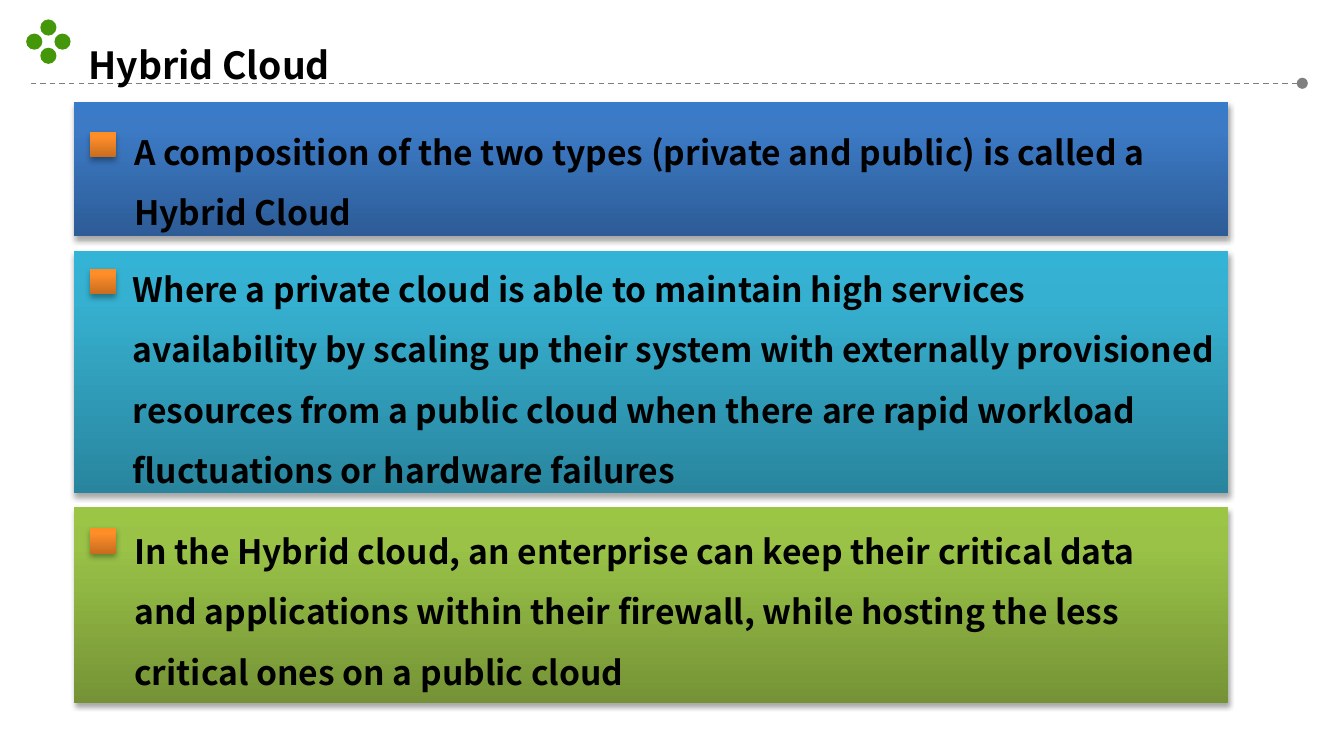
from dataclasses import dataclass

import pptx
import pptx.dml.color
import pptx.enum.dml
import pptx.enum.shapes
import pptx.enum.text
import pptx.oxml
import pptx.oxml.ns
import pptx.util
from pptx.dml.color import RGBColor
from pptx.util import Inches

BLACK = RGBColor(0x00, 0x00, 0x00)
GRAY = RGBColor(0x7F, 0x7F, 0x7F)
GREEN = RGBColor(0x43, 0x97, 0x08)
BLUE_STOPS = (RGBColor(0x2D, 0x5C, 0x97), RGBColor(0x3C, 0x7A, 0xC5), RGBColor(0x39, 0x7B, 0xC9))
TEAL_STOPS = (RGBColor(0x29, 0x85, 0x9E), RGBColor(0x36, 0xB0, 0xD0), RGBColor(0x33, 0xB3, 0xD5))
LIME_STOPS = (RGBColor(0x75, 0x93, 0x36), RGBColor(0x99, 0xC2, 0x47), RGBColor(0x9B, 0xC5, 0x45))
ORANGE_STOPS = (RGBColor(0xC8, 0x6C, 0x1F), RGBColor(0xFF, 0x8E, 0x29), RGBColor(0xFF, 0x8D, 0x25))
STOP_POSITIONS = (0, 80, 100)

NAMESPACE = pptx.oxml.ns.nsdecls("a")
FONT_NAME = "Noto Sans CJK KR"
SLIDE_WIDTH = Inches(10)
SLIDE_HEIGHT = SLIDE_WIDTH * 9 // 16
DOT_SIZE = 0.12
DOT_OFFSET = 0.105
MARKER_SIZE = 0.19


@dataclass
class Box:
    left: float
    top: float
    width: float
    height: float

    def lengths(self) -> tuple:
        return tuple(Inches(value) for value in (self.left, self.top, self.width, self.height))


@dataclass
class Panel:
    box: Box
    stops: tuple
    text_box: Box
    marker_top: float
    text: str


PANELS = (
    Panel(Box(0.55, 0.76, 8.59, 1), BLUE_STOPS, Box(0.9, 0.78, 8.17, 0.95), 0.98,
          "A composition of the two types (private and public) is called a Hybrid Cloud"),
    Panel(Box(0.55, 1.87, 8.59, 1.8), TEAL_STOPS, Box(0.89, 1.8, 8.25, 1.92), 2,
          "Where a private cloud is able to maintain high services availability by scaling up "
          "their system with externally provisioned resources from a public cloud when there "
          "are rapid workload fluctuations or hardware failures"),
    Panel(Box(0.55, 3.77, 8.59, 1.46), LIME_STOPS, Box(0.9, 3.75, 8.09, 1.41), 3.93,
          "In the Hybrid cloud, an enterprise can keep their critical data and applications "
          "within their firewall, while hosting the less critical ones on a public cloud"),
)


def apply_format(target, values: dict) -> None:
    for name, value in values.items():
        setattr(target, name, value)


def add_dot(slide, left: float, top: float) -> None:
    box = Box(left, top, DOT_SIZE, DOT_SIZE)
    shape = slide.shapes.add_shape(pptx.enum.shapes.MSO_SHAPE.OVAL, *box.lengths())
    shape.shadow.inherit = False
    shape.fill.solid()
    shape.fill.fore_color.rgb = GREEN
    shape.line.fill.background()


def add_divider(slide) -> None:
    connector = slide.shapes.add_connector(
        pptx.enum.shapes.MSO_CONNECTOR.STRAIGHT,
        Inches(9.69), Inches(0.62), Inches(0.23), Inches(0.62))
    connector.line.color.rgb = GRAY
    apply_format(connector.line, {
        "width": pptx.util.Pt(0.75),
        "dash_style": pptx.enum.dml.MSO_LINE.DASH,
    })
    line = connector.line._get_or_add_ln()
    line.append(pptx.oxml.parse_xml(f'<a:headEnd {NAMESPACE} type="oval"/>'))
    connector._element.spPr.append(pptx.oxml.parse_xml(f"<a:effectLst {NAMESPACE}/>"))


def add_gradient_rectangle(slide, box: Box, colors: tuple) -> None:
    shape = slide.shapes.add_shape(pptx.enum.shapes.MSO_SHAPE.RECTANGLE, *box.lengths())
    shape.line.fill.background()
    stops = "".join(
        f'<a:gs pos="{position * 1000}"><a:srgbClr val="{color}"/></a:gs>'
        for position, color in zip(STOP_POSITIONS, colors))
    gradient = pptx.oxml.parse_xml(
        f'<a:gradFill {NAMESPACE} rotWithShape="1"><a:gsLst>{stops}</a:gsLst>'
        '<a:lin ang="16200000" scaled="0"/></a:gradFill>')
    shadow = pptx.oxml.parse_xml(
        f'<a:effectLst {NAMESPACE}><a:outerShdw blurRad="{pptx.util.Pt(3.1)}" '
        f'dist="{pptx.util.Pt(1.8)}" dir="5400000" rotWithShape="0">'
        '<a:srgbClr val="000000"><a:alpha val="35000"/></a:srgbClr>'
        '</a:outerShdw></a:effectLst>')
    properties = shape._element.spPr
    properties.find(pptx.oxml.ns.qn("a:prstGeom")).addnext(gradient)
    properties.append(shadow)


def add_text(slide, box: Box, text: str, size: float) -> None:
    frame = slide.shapes.add_textbox(*box.lengths()).text_frame
    apply_format(frame, {
        "word_wrap": True,
        "vertical_anchor": pptx.enum.text.MSO_ANCHOR.TOP,
    })
    paragraph = frame.paragraphs[0]
    paragraph.line_spacing = 1.5
    run = paragraph.add_run()
    run.text = text
    apply_format(run.font, {"name": FONT_NAME, "size": pptx.util.Pt(size), "bold": True})
    run.font.color.rgb = BLACK
    east_asian = pptx.oxml.parse_xml(f'<a:ea {NAMESPACE} typeface="{FONT_NAME}"/>')
    run.font._element.find(pptx.oxml.ns.qn("a:latin")).addnext(east_asian)


def main() -> None:
    presentation = pptx.Presentation()
    apply_format(presentation, {"slide_width": SLIDE_WIDTH, "slide_height": SLIDE_HEIGHT})
    slide = presentation.slides.add_slide(presentation.slide_layouts[6])

    for column, row in ((0, -1), (1, 0), (-1, 0), (0, 1)):
        add_dot(slide, 0.3 + column * DOT_OFFSET, 0.25 + row * DOT_OFFSET)
    add_divider(slide)
    add_text(slide, Box(0.56, 0.1, 9.19, 0.54), "Hybrid Cloud", 20)

    for panel in PANELS:
        add_gradient_rectangle(slide, panel.box, panel.stops)
    for panel in PANELS:
        add_text(slide, panel.text_box, panel.text, 18)
        marker = Box(0.67, panel.marker_top, MARKER_SIZE, MARKER_SIZE)
        add_gradient_rectangle(slide, marker, ORANGE_STOPS)

    presentation.save("out.pptx")


if __name__ == "__main__":
    main()
